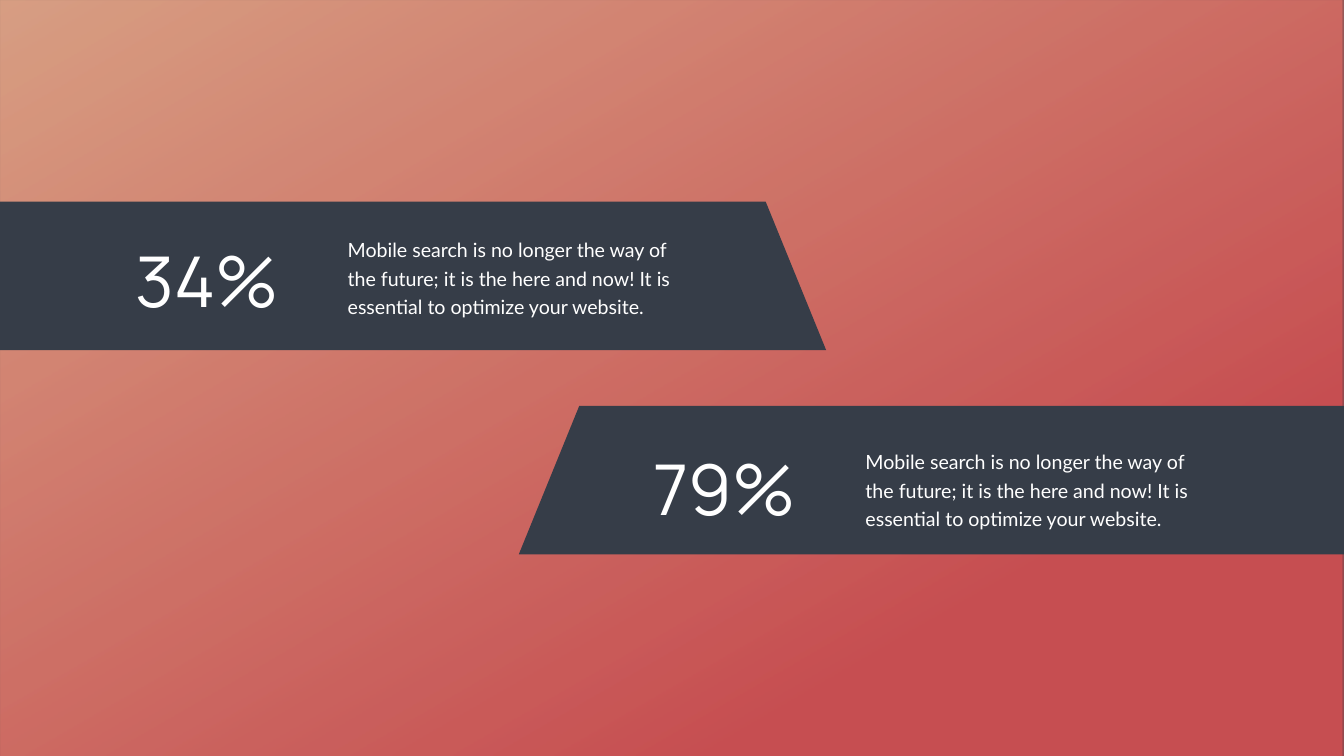
"""Build a slide with two slanted statistic bands on a warm gradient."""
from pptx import Presentation
from pptx import util as u
from pptx.dml.color import RGBColor
from pptx.enum import shapes, text
from pptx.oxml import ns
from lxml import etree

COLORS = {"dark": "363D48", "peach": "FEB691", "coral": "E95354", "white": "FFFFFF"}
SLIDE_WIDTH, SLIDE_HEIGHT = 67.72, 38.1
BAND_HEIGHT = 7.49
SLANT = 3.05
BODY_OFFSET = 10.67
GRADIENT = [(0, "peach"), (0.76, "coral")]
MESSAGE = (
    "Mobile search is no longer the way of the future; it is the here and now! "
    "It is essential to optimize your website."
)
BANDS = [
    {"figure": "34%", "top": 10.16, "text_left": 6.6, "figure_top": 11.86, "body_top": 11.61,
     "top_edge": (0, 41.63 - SLANT), "bottom_edge": (0, 41.63)},
    {"figure": "79%", "top": 20.45, "text_left": 32.69, "figure_top": 22.35, "body_top": 22.3,
     "top_edge": (26.14 + SLANT, SLIDE_WIDTH), "bottom_edge": (26.14, SLIDE_WIDTH)},
]


def color(name):
    return RGBColor.from_string(COLORS[name])


def add_backdrop(page):
    page.background.fill.solid()
    page.background.fill.fore_color.rgb = color("dark")
    backdrop = page.shapes.add_shape(
        shapes.MSO_SHAPE.RECTANGLE, 0, 0, u.Cm(SLIDE_WIDTH), u.Cm(SLIDE_HEIGHT))
    backdrop.shadow.inherit = False
    backdrop.line.fill.background()
    backdrop.fill.gradient()
    backdrop.fill.gradient_angle = 300
    for stop, (position, name) in zip(backdrop.fill.gradient_stops, GRADIENT):
        stop.position = position
        stop.color.rgb = color(name)
    for tint in backdrop.element.spPr.iter(ns.qn("a:srgbClr")):
        etree.SubElement(tint, ns.qn("a:alpha"), val="80000")


def add_band(page, band):
    top, bottom = band["top"], band["top"] + BAND_HEIGHT
    (top_left, top_right), (bottom_left, bottom_right) = band["top_edge"], band["bottom_edge"]
    corners = [(top_left, top), (top_right, top), (bottom_right, bottom), (bottom_left, bottom)]
    points = [(u.Cm(x), u.Cm(y)) for x, y in corners]
    builder = page.shapes.build_freeform(*points[0])
    builder.add_line_segments(points[1:], close=True)
    shape = builder.convert_to_shape()
    shape.shadow.inherit = False
    shape.fill.solid()
    shape.fill.fore_color.rgb = color("dark")
    shape.line.fill.background()


def add_text(page, words, left, top, width, height, font, size, spacing=None):
    box = page.shapes.add_textbox(u.Cm(left), u.Cm(top), u.Cm(width), u.Cm(height))
    frame = box.text_frame
    frame.word_wrap = True
    frame.auto_size = text.MSO_AUTO_SIZE.SHAPE_TO_FIT_TEXT
    para = frame.paragraphs[0]
    if spacing:
        para.line_spacing = u.Pt(spacing)
    span = para.add_run()
    span.text = words
    span.font.name = font
    span.font.size = u.Pt(size)
    span.font.color.rgb = color("white")


def main():
    deck = Presentation()
    deck.slide_width, deck.slide_height = u.Cm(SLIDE_WIDTH), u.Cm(SLIDE_HEIGHT)
    page = deck.slides.add_slide(deck.slide_layouts[6])
    add_backdrop(page)
    for band in BANDS:
        left = band["text_left"]
        add_band(page, band)
        add_text(page, band["figure"], left, band["figure_top"], 14.4, 4.52, "Manrope", 100)
        add_text(page, MESSAGE, left + BODY_OFFSET, band["body_top"], 17.75, 4.5, "Lato", 28, 40.8)
    deck.save("out.pptx")


if __name__ == "__main__":
    main()
